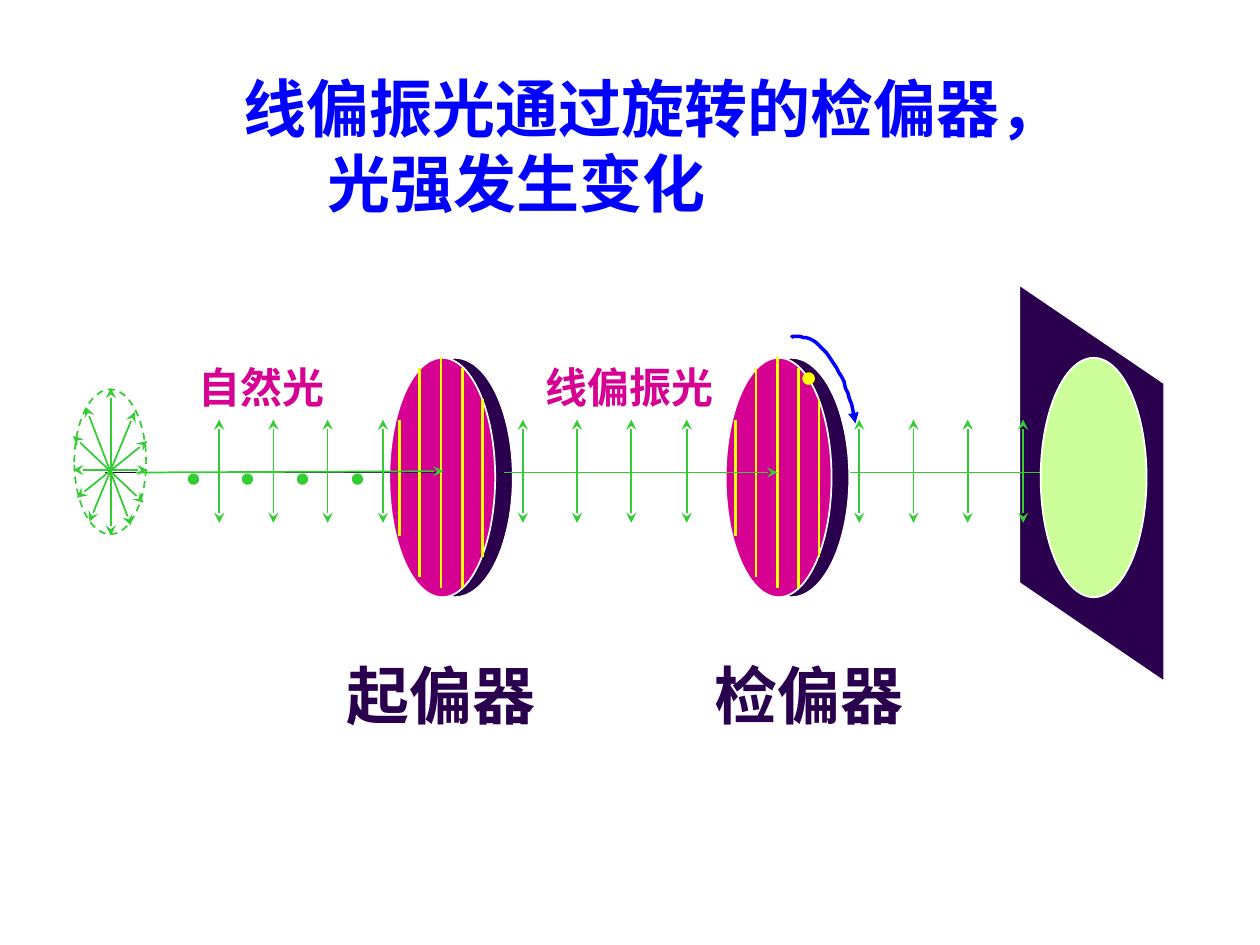
from lxml.etree import SubElement as Sub
from pptx import Presentation
from pptx.dml.color import RGBColor as Rgb
from pptx.enum.dml import MSO_LINE as Dash
from pptx.enum.shapes import MSO_CONNECTOR as Conn, MSO_SHAPE as Form
from pptx.enum.text import MSO_ANCHOR as Anchor, MSO_AUTO_SIZE as Fit, PP_ALIGN as Align
from pptx.oxml.ns import qn
from pptx.util import Pt

PX = 9144  # one px is a hundredth of an inch
DARK, PINK, GREEN = "2A004E", "D60093", "33CC33"
WHITE, GOLD, BLUE, LIME = "FFFFFF", "FFFF00", "0000FF", "CCFF99"
HAN, LATIN = "Noto Sans CJK SC", "TeX Gyre Bonum"
BOTH = ("headEnd", "tailEnd")
END = ("tailEnd",)


def px(*vals):
    return [round(v * PX) for v in vals]


def hue(code):
    return Rgb.from_string(code)


class Pen:
    """Holds the slide and draws each kind of element on it."""

    def __init__(self, slide):
        self.slide = slide
        self.shapes = slide.shapes
        self.frame = {"auto_size": Fit.SHAPE_TO_FIT_TEXT, "word_wrap": False,
                      "vertical_anchor": Anchor.TOP}
        self.para = {"alignment": Align.LEFT, "space_before": Pt(0)}

    def stroke(self, item, color, size, ends=(), tip="stealth"):
        item.line.color.rgb = hue(color)
        item.line.width = Pt(size)
        for end in ends:
            Sub(item.line._get_or_add_ln(), qn("a:" + end), type=tip)

    def shape(self, form, box, fill=None, edge=WHITE):
        item = self.shapes.add_shape(form, *px(*box))
        item.shadow.inherit = False
        if fill:
            item.fill.solid()
            item.fill.fore_color.rgb = hue(fill)
        else:
            item.fill.background()
        self.stroke(item, edge, 1)
        return item

    def line(self, x1, y1, x2, y2, color=GREEN, size=1, ends=()):
        item = self.shapes.add_connector(Conn.STRAIGHT, *px(x1, y1, x2, y2))
        self.stroke(item, color, size, ends)
        Sub(item._element.spPr, qn("a:effectLst"))

    def curve(self, dots, color, size):
        form = self.shapes.build_freeform(*dots[0], scale=PX)
        form.add_line_segments(dots[1:], close=False)
        item = form.convert_to_shape()
        item.shadow.inherit = False
        item.fill.background()
        self.stroke(item, color, size, END, "triangle")

    def put(self, item, rows, size, color, face):
        frame = item.text_frame
        for key, val in self.frame.items():
            setattr(frame, key, val)
        for i, (text, indent) in enumerate(rows):
            para = frame.paragraphs[0] if i == 0 else frame.add_paragraph()
            for key, val in self.para.items():
                setattr(para, key, val)
            if indent:
                para._p.get_or_add_pPr().set("marL", str(indent * PX))
            run = para.add_run()
            run.text = text
            run.font.color.rgb = hue(color)
            for key, val in {"size": Pt(size), "bold": True, "name": face}.items():
                setattr(run.font, key, val)
            Sub(run._r.get_or_add_rPr(), qn("a:ea"), typeface=HAN)

    def text(self, box, text, size, color, face=HAN):
        self.put(self.shapes.add_textbox(*px(*box)), [(text, 0)], size, color, face)

    def title(self, box, rows, size, color):
        item = self.slide.shapes.title
        for key, val in zip(("left", "top", "width", "height"), px(*box)):
            setattr(item, key, val)
        self.put(item, rows, size, color, LATIN)

    def plate(self, mid):
        self.shape(Form.OVAL, (mid - 35, 284, 92, 190), DARK)
        self.shape(Form.OVAL, (mid - 41, 284, 84, 190), PINK)

    def slits(self, mid):
        cuts = (-33, 333, 425), (-17, 292, 458), (0, 283, 467), (17, 292, 467), (33, 317, 442)
        for off, top, low in cuts:
            self.line(mid + off, top, mid + off, low, GOLD, 1.5)

    def star(self):
        home = self.shapes
        self.shapes = home.add_group_shape().shapes
        ring = self.shape(Form.OVAL, (59, 309, 57, 115), edge=GREEN)
        ring.line.dash_style = Dash.DASH
        rays = ((88, 308, 88, 425), (107, 327, 71, 414), (58, 346, 114, 399),
                (58, 373, 117, 373), (68, 323, 104, 417), (61, 395, 117, 350))
        for ray in rays:
            self.line(*ray, ends=BOTH)
        self.shapes = home


def bend(a, b, c, d, count=24):
    """Points on a cubic curve."""
    for i in range(count + 1):
        t = i / count
        u = 1 - t
        yield tuple(u**3 * p + 3 * u * u * t * q + 3 * u * t * t * r + t**3 * s
                    for p, q, r, s in zip(a, b, c, d))


def main():
    deck = Presentation()
    deck.slide_width, deck.slide_height = px(1000, 750)
    pen = Pen(deck.slides.add_slide(deck.slide_layouts[5]))
    first, second = 350, 617

    pen.title((183, 50, 670, 130),
              [("线偏振光通过旋转的检偏器，", 0), ("光强发生变化", 67)], 36, BLUE)

    # Plates and screen
    pen.plate(first)
    screen = pen.shape(Form.PARALLELOGRAM, (709, 326, 315, 115), DARK)
    screen.adjustments[0] = 0.68
    screen.rotation = 90

    # Beam behind the plates, and the natural light source
    pen.line(667, 375, 867, 375, ends=END)
    pen.line(83, 375, 350, 375, DARK)
    pen.star()

    # Vibration arrows and dots at equal steps
    steps = [i * 130 // 3 for i in range(4)]
    for start in (174, 415, 682):
        for step in steps:
            pen.line(start + step, 333, start + step, 415, ends=BOTH)
    for step in steps:
        pen.text((136 + step, 330, 37, 70), ".", 36, GREEN, LATIN)

    # Slits, turning arrow and its mark
    pen.slits(first)
    pen.line(108, 375, 352, 374, ends=END)
    rise = list(bend((628, 268), (630, 267), (632, 267), (633, 267), 4))
    fall = list(bend((633, 267), (653, 267), (671, 294), (679, 336)))
    pen.curve(rise + fall[1:], BLUE, 2)
    pen.plate(second)
    pen.text((623, 245, 39, 77), ".", 40, GOLD, LATIN)
    pen.slits(second)

    # Labels
    pen.text((265, 516, 170, 70), "起偏器", 36, DARK)
    pen.text((557, 516, 170, 70), "检偏器", 36, DARK)
    pen.text((148, 282, 120, 50), "自然光", 24, PINK)
    pen.text((423, 282, 154, 50), "线偏振光", 24, PINK)

    # Beam between the plates and the spot on the screen
    pen.line(400, 375, 617, 375, ends=END)
    pen.shape(Form.OVAL, (826, 284, 84, 190), LIME)

    deck.save("out.pptx")


if __name__ == "__main__":
    main()
